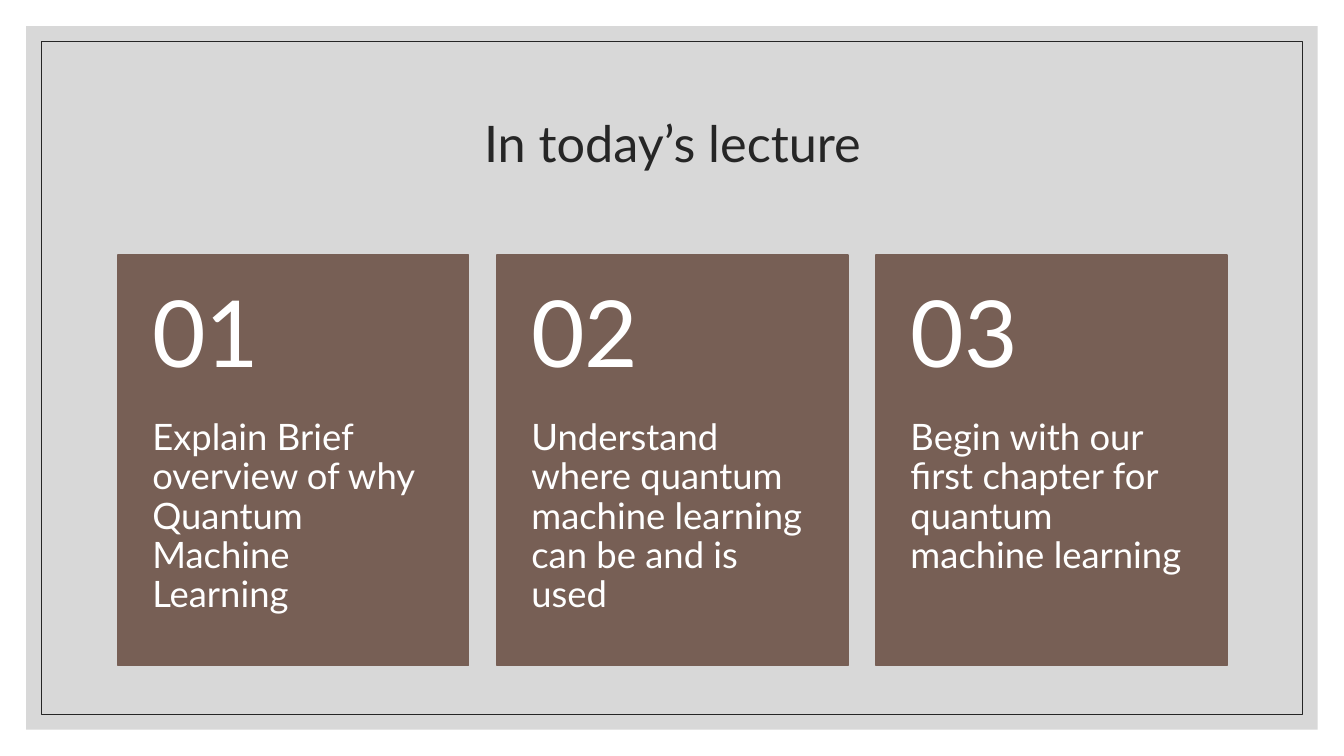
from lxml import etree
from pptx import Presentation
from pptx.dml.color import RGBColor
from pptx.enum.shapes import MSO_SHAPE
from pptx.enum.text import MSO_ANCHOR, MSO_AUTO_SIZE, PP_ALIGN
from pptx.oxml.ns import qn
from pptx.util import Inches, Pt

RECTANGLE = MSO_SHAPE.RECTANGLE
TOP, MIDDLE = MSO_ANCHOR.TOP, MSO_ANCHOR.MIDDLE
LEFT, CENTER = PP_ALIGN.LEFT, PP_ALIGN.CENTER
NO_AUTOFIT = MSO_AUTO_SIZE.NONE

GRAY = RGBColor(0xBF, 0xBF, 0xBF)
INK = RGBColor(0x26, 0x26, 0x26)
BROWN = RGBColor(0x77, 0x5F, 0x55)
WHITE = RGBColor(0xFF, 0xFF, 0xFF)

FONT = "Lato"
PAGE_WIDTH, PAGE_HEIGHT = 13.33, 7.5
GOALS = [
    "Explain Brief overview of why Quantum Machine Learning",
    "Understand where quantum machine learning can be and is used",
    "Begin with our first chapter for quantum machine learning",
]


def add_rectangle(page, box, fill=None, line=None, line_width=1):
    shape = page.shapes.add_shape(RECTANGLE, *map(Inches, box))
    shape.shadow.inherit = False
    if fill is None:
        shape.fill.background()
    else:
        shape.fill.solid()
        shape.fill.fore_color.rgb = fill
    if line is None:
        shape.line.fill.background()
    else:
        shape.line.color.rgb = line
        shape.line.width = Pt(line_width)
    return shape


def write_text(shape, text, size, color, align, anchor, insets):
    """Fill a shape with one paragraph; insets run left, top, right, bottom."""
    frame = shape.text_frame
    frame.text = text
    left, top, right, bottom = map(Inches, insets)
    frame_format = {
        "word_wrap": True, "auto_size": NO_AUTOFIT, "vertical_anchor": anchor,
        "margin_left": left, "margin_top": top,
        "margin_right": right, "margin_bottom": bottom,
    }
    para = frame.paragraphs[0]
    para_format = {"alignment": align, "line_spacing": 0.9}
    font_format = {"name": FONT, "size": Pt(size)}
    for target, values in ((frame, frame_format), (para, para_format),
                           (para.runs[0].font, font_format)):
        for name, value in values.items():
            setattr(target, name, value)
    para.runs[0].font.color.rgb = color


def add_frame(page):
    """Draw the translucent panel and the thin border inside it."""
    for inset, style in ((0.26, {"fill": GRAY}),
                         (0.41, {"line": INK, "line_width": 0.5})):
        box = (inset, inset, PAGE_WIDTH - 2 * inset, PAGE_HEIGHT - 2 * inset)
        shape = add_rectangle(page, box, **style)
        if "fill" in style:
            color = shape.fill._xPr.find(qn("a:solidFill"))[0]
            etree.SubElement(color, qn("a:alpha"), val="60000")


def add_title(page, box, text):
    title = page.shapes.title
    title.left, title.top, title.width, title.height = map(Inches, box)
    write_text(title, text, 36, INK, CENTER, MIDDLE, (0.1, 0.05, 0.1, 0.05))
    page.shapes._spTree.append(title._element)  # in front of the frame


def add_card(page, box, number, goal):
    left, top, width, height = box
    number_height = 0.4 * height
    add_rectangle(page, box, BROWN, BROWN)
    parts = (
        (goal, 26, TOP, top + number_height, height - number_height,
         (0.34, 0, 0.34, 0.36)),
        (f"{number:02}", 66, MIDDLE, top, number_height,
         (0.34, 0.18, 0.34, 0.18)),
    )
    for text, size, anchor, part_top, part_height, insets in parts:
        part_box = (left, part_top, width, part_height)
        label = page.shapes.add_textbox(*map(Inches, part_box))
        write_text(label, text, size, WHITE, LEFT, anchor, insets)


def add_cards(page, box, goals, gap=0.28):
    left, top, width, height = box
    card_width = (width - gap * (len(goals) - 1)) / len(goals)
    for index, goal in enumerate(goals):
        card_left = left + index * (card_width + gap)
        add_card(page, (card_left, top, card_width, height), index + 1, goal)


def main():
    deck = Presentation()
    deck.slide_width, deck.slide_height = Inches(PAGE_WIDTH), Inches(PAGE_HEIGHT)
    page = deck.slides.add_slide(deck.slide_layouts.get_by_name("Title Only"))
    add_frame(page)
    add_title(page, (1.17, 0.7, 11, 1.5), "In today’s lecture")
    add_cards(page, (1.17, 2.53, 11, 4.07), GOALS)
    deck.save("out.pptx")


if __name__ == "__main__":
    main()
